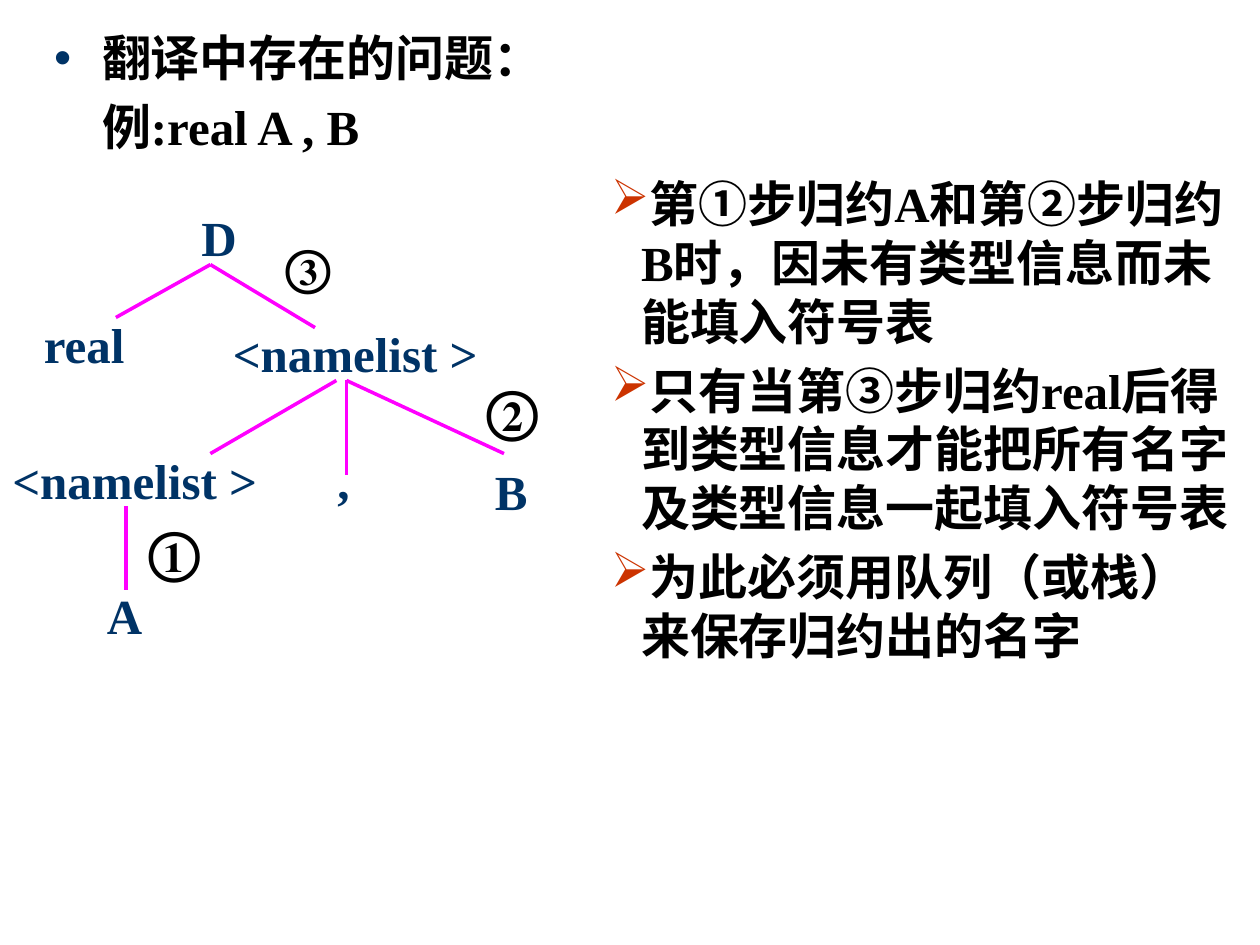
from typing import NamedTuple

from lxml.etree import SubElement
from pptx import Presentation
from pptx.dml.color import RGBColor
from pptx.enum.shapes import MSO_CONNECTOR
from pptx.enum.text import MSO_ANCHOR, MSO_AUTO_SIZE, PP_ALIGN
from pptx.oxml.ns import qn
from pptx.util import Inches, Pt

NAVY = RGBColor(0x00, 0x33, 0x66)
BLACK = RGBColor(0x00, 0x00, 0x00)
RED = RGBColor(0xCC, 0x33, 0x00)
MAGENTA = RGBColor(0xFF, 0x00, 0xFF)
FONT = "Times New Roman"


class Label(NamedTuple):
    text: str
    left: float
    top: float
    width: float
    height: float = 0.57
    size: int = 28
    color: RGBColor = NAVY
    wrap: bool = True


class Branch(NamedTuple):
    x1: float
    y1: float
    x2: float
    y2: float


class Item(NamedTuple):
    text: str
    margin: float
    bullet: str = ""
    bullet_color: RGBColor = RED


LABELS = [
    Label("D", 1.5, 1.6, 0.5),
    Label("real", 0.25, 2.45, 0.92),
    Label("<namelist >", 1.75, 2.52, 2.17),
    Label("<namelist >", 0, 3.53, 2.17),
    Label(",", 2.58, 3.53, 0.42),
    Label("B", 3.83, 3.61, 0.5),
    Label("A", 0.75, 4.6, 0.5),
]
STEPS = [
    Label("①", 1.08, 4.05, 0.65, 0.63, 32, BLACK, False),
    Label("②", 3.76, 2.93, 0.65, 0.63, 32, BLACK, False),
    Label("③", 2.17, 1.83, 0.59, 0.57, 28, BLACK, False),
]
BRANCHES = [
    Branch(1.67, 2.1, 0.92, 2.52),
    Branch(1.67, 2.1, 2.5, 2.6),
    Branch(2.67, 3.02, 1.67, 3.6),
    Branch(2.75, 3.02, 2.75, 3.77),
    Branch(2.75, 3.02, 4, 3.6),
    Branch(1, 4.02, 1, 4.68),
]
HEADING = [
    Item("翻译中存在的问题：", 0.38, "•", NAVY),
    Item("例:real A , B", 0.38),
]
NOTES = [
    Item("第①步归约A和第②步归约B时，因未有类型信息而未能填入符号表", 0.24, "➢"),
    Item("只有当第③步归约real后得到类型信息才能把所有名字及类型信息一起填入符号表", 0.24, "➢"),
    Item("为此必须用队列（或栈）来保存归约出的名字", 0.24, "➢"),
]


def format_font(font, size: int, color: RGBColor) -> None:
    values = {"name": FONT, "size": Pt(size), "bold": True}
    for name, value in values.items():
        setattr(font, name, value)
    font.color.rgb = color


def set_bullet(p, item: Item) -> None:
    pPr = p._p.get_or_add_pPr()
    pPr.set("marL", str(Inches(item.margin)))
    pPr.set("indent", str(-Inches(item.margin) if item.bullet else 0))
    if not item.bullet:
        SubElement(pPr, qn("a:buNone"))
        return
    color = SubElement(pPr, qn("a:buClr"))
    SubElement(color, qn("a:srgbClr"), val=str(item.bullet_color))
    SubElement(pPr, qn("a:buChar"), char=item.bullet)


def fill_items(tf, items: list[Item], align: PP_ALIGN) -> None:
    frame = {"word_wrap": True, "auto_size": MSO_AUTO_SIZE.NONE,
             "vertical_anchor": MSO_ANCHOR.TOP}
    for name, value in frame.items():
        setattr(tf, name, value)
    for i, item in enumerate(items):
        p = tf.add_paragraph() if i else tf.paragraphs[0]
        set_bullet(p, item)
        p.alignment = align
        p.space_before = Pt(5.6 if i else 0)
        r = p.add_run()
        r.text = item.text
        format_font(r.font, 28, BLACK)


def add_label(shapes, label: Label) -> None:
    box = shapes.add_textbox(Inches(label.left), Inches(label.top),
                             Inches(label.width), Inches(label.height))
    tf = box.text_frame
    tf.word_wrap = label.wrap
    r = tf.paragraphs[0].add_run()
    r.text = label.text
    format_font(r.font, label.size, label.color)


def add_branch(shapes, branch: Branch) -> None:
    line = shapes.add_connector(MSO_CONNECTOR.STRAIGHT, *map(Inches, branch))
    line.line.color.rgb = MAGENTA
    line.line.width = Pt(2)
    SubElement(line._element.spPr, qn("a:effectLst"))


def main() -> None:
    prs = Presentation()
    prs.slide_width, prs.slide_height = Inches(10), Inches(7.5)
    s = prs.slides.add_slide(prs.slide_layouts[1])
    title = s.shapes.title._element
    title.getparent().remove(title)

    body = s.placeholders[1]
    place = {"left": 0.33, "top": 0.17, "width": 9.26, "height": 1.17}
    for name, value in place.items():
        setattr(body, name, Inches(value))
    fill_items(body.text_frame, HEADING, PP_ALIGN.JUSTIFY)

    notes = s.shapes.add_textbox(Inches(4.75), Inches(1.33), Inches(5.12), Inches(4.02))
    fill_items(notes.text_frame, NOTES, PP_ALIGN.LEFT)

    tree = s.shapes.add_group_shape().shapes
    for label in LABELS:
        add_label(tree, label)
    for branch in BRANCHES:
        add_branch(tree, branch)
    for step in STEPS:
        add_label(tree, step)

    prs.save("out.pptx")


if __name__ == "__main__":
    main()
